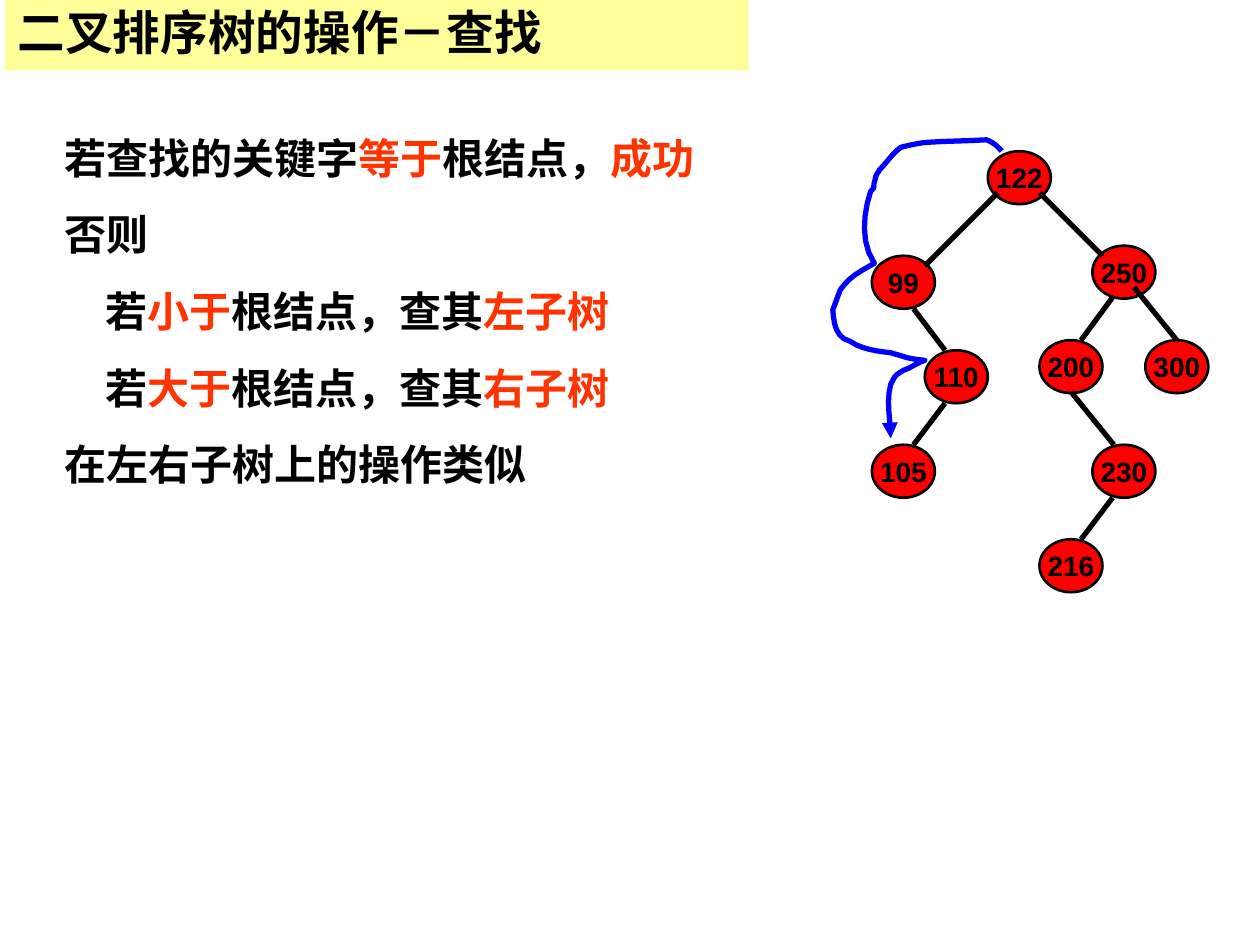
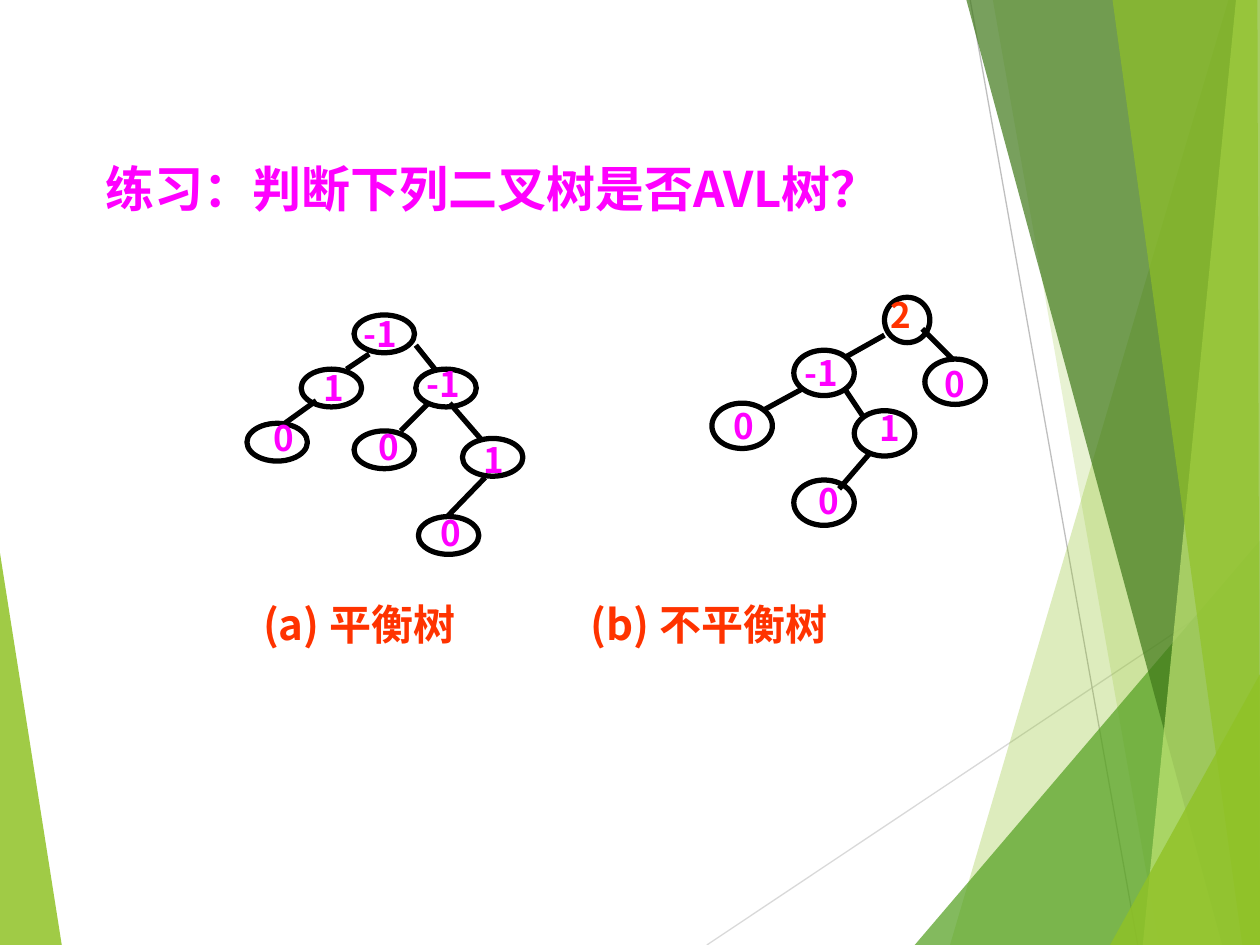
"""Build two slides on searching a binary search tree and recognising AVL trees."""
from lxml import etree
from pptx import Presentation
from pptx.dml.color import RGBColor
from pptx.enum import shapes, text
from pptx.oxml import ns
from pptx.util import Inches, Pt

BLACK = RGBColor(0x00, 0x00, 0x00)
RED = RGBColor(0xFF, 0x00, 0x00)
ORANGE = RGBColor(0xFF, 0x33, 0x00)
MAGENTA = RGBColor(0xFF, 0x00, 0xFF)
BLUE = RGBColor(0x00, 0x00, 0xFF)
YELLOW = RGBColor(0xFF, 0xFF, 0x99)
LIME = RGBColor(0x90, 0xC2, 0x26)
GREEN = RGBColor(0x54, 0xA0, 0x21)
DARK_GREEN = RGBColor(0x3F, 0x78, 0x19)
PALE_GREEN = RGBColor(0xC0, 0xE4, 0x74)
GRAY = RGBColor(0xBF, 0xBF, 0xBF)
LIGHT_GRAY = RGBColor(0xD9, 0xD9, 0xD9)
CJK_FONT = "Noto Sans CJK SC"
LATIN_FONT = "Arial"

SEARCH_RULES = [
    (0.5, [("若查找的关键字", BLACK), ("等于", ORANGE), ("根结点，", BLACK), ("成功", ORANGE)]),
    (0.5, [("否则", BLACK)]),
    (0.83, [("若", BLACK), ("小于", ORANGE), ("根结点，查其", BLACK), ("左子树", ORANGE)]),
    (0.83, [("若", BLACK), ("大于", ORANGE), ("根结点，查其", BLACK), ("右子树", ORANGE)]),
    (0.5, [("在左右子树上的操作类似", BLACK)]),
]
SEARCH_NODES = [
    ("122", 7.84, 1.2), ("250", 8.67, 1.95), ("300", 9.09, 2.7), ("110", 7.34, 2.78),
    ("200", 8.25, 2.7), ("99", 6.92, 2.03), ("105", 6.92, 3.53), ("230", 8.67, 3.53),
    ("216", 8.25, 4.28),
]
SEARCH_EDGES = [
    (7.92, 1.53, 7.34, 2.11), (8.25, 1.53, 8.75, 2.03), (9, 2.28, 9.34, 2.7),
    (8.83, 2.36, 8.58, 2.7), (7.25, 2.45, 7.5, 2.78), (7.5, 3.2, 7.25, 3.53),
    (8.5, 3.11, 8.84, 3.53), (8.83, 3.95, 8.58, 4.28),
]
SEARCH_START = (7.95, 1.2)
SEARCH_CURVES = [
    ((7.92, 1.16), (7.88, 1.13), (7.83, 1.11)), ((7.67, 1.12), (7.52, 1.12), (7.37, 1.13)),
    ((7.3, 1.13), (7.15, 1.17), (7.15, 1.17)), ((7.08, 1.22), (7.04, 1.29), (6.98, 1.35)),
    ((6.97, 1.37), (6.95, 1.39), (6.95, 1.41)), ((6.91, 1.54), (6.97, 1.45), (6.91, 1.52)),
    ((6.85, 1.7), (6.83, 1.93), (6.94, 2.09)), ((6.82, 2.16), (6.75, 2.19), (6.67, 2.3)),
    ((6.65, 2.35), (6.63, 2.41), (6.61, 2.46)), ((6.62, 2.57), (6.63, 2.68), (6.75, 2.71)),
    ((6.83, 2.77), (6.97, 2.79), (7.07, 2.8)), ((7.1, 2.81), (7.14, 2.82), (7.17, 2.83)),
    ((7.22, 2.85), (7.34, 2.86), (7.34, 2.86)), ((7.28, 2.88), (7.23, 2.92), (7.17, 2.94)),
    ((7.09, 2.99), (7.11, 2.98), (7.07, 3.05)), ((7.03, 3.19), (7.07, 3.33), (7.07, 3.48)),
]

LEFT_BAND = ([(0, 4.39), (0.49, 7.5), (0, 7.5)], LIME, 85)
BACKDROP_LINES = [(5.61, 7.5, 10, 4.57, LIGHT_GRAY), (7.7, 0, 9.03, 7.5, GRAY)]
RIGHT_BANDS = [
    ([(9.75, 0), (7.54, 7.5), (10, 7.5), (10, 0)], LIME, 30),
    ([(7.88, 0), (9.2, 7.5), (10, 7.5), (10, 0)], LIME, 20),
    ([(7.26, 7.5), (10, 4.29), (10, 7.5)], GREEN, 72),
    ([(7.67, 0), (9.7, 7.5), (10, 7.5), (10, 0)], DARK_GREEN, 70),
    ([(9.81, 0), (9.07, 7.5), (10, 7.5), (10, 0)], PALE_GREEN, 70),
    ([(8.83, 0), (9.86, 7.5), (10, 7.5), (9.98, 0)], LIME, 65),
    ([(8.81, 7.5), (10, 5.35), (10, 7.5)], LIME, 80),
]

BALANCED_NODES = [
    (2.81, 2.5), (3.67, 3.48), (3.32, 4.1), (2.39, 2.93), (3.3, 2.93), (2.81, 3.42), (1.96, 3.36),
]
UNBALANCED_NODES = [(5.65, 3.2), (6.3, 2.78), (6.78, 3.26), (6.3, 3.81), (7.34, 2.85)]
AVL_EDGES = [
    (2.93, 2.81, 2.75, 2.93), (3.57, 3.2, 3.83, 3.5), (2.51, 3.18, 2.26, 3.36),
    (3.3, 2.74, 3.46, 2.94), (3.85, 3.79, 3.55, 4.1), (3.4, 3.2, 3.18, 3.42),
    (7.02, 2.66, 6.7, 2.84), (6.38, 3.08, 6.05, 3.26), (6.7, 3.08, 6.86, 3.32),
    (7.32, 2.61, 7.57, 2.86), (6.91, 3.59, 6.66, 3.88),
]
BALANCE_FACTORS = [
    ("0", 3.4, 4.01), ("0", 2.91, 3.33), ("0", 2.07, 3.26), ("1", 3.74, 3.43),
    ("1", 2.47, 2.86), ("-1", 3.29, 2.83), ("-1", 2.79, 2.43), ("0", 7.4, 2.83),
    ("0", 5.72, 3.16), ("0", 6.4, 3.76), ("1", 6.88, 3.18), ("-1", 6.29, 2.74),
]


def add_element(parent, tag, **attributes):
    return etree.SubElement(parent, ns.qn(tag), attributes)


def format_paragraph(paragraph, size, color, name=CJK_FONT):
    font = paragraph.font
    font.size = Pt(size)
    font.bold = True
    font.color.rgb = color
    font.name = name
    add_element(font._rPr, "a:ea", typeface=name)


def place(shape, left, top, width, height):
    shape.left, shape.top = Inches(left), Inches(top)
    shape.width, shape.height = Inches(width), Inches(height)


def set_title(slide, title, box, size, color):
    shape = slide.shapes.title
    place(shape, *box)
    frame = shape.text_frame
    frame.text = title
    frame.auto_size = text.MSO_AUTO_SIZE.NONE
    paragraph = frame.paragraphs[0]
    paragraph.alignment = text.PP_ALIGN.LEFT
    format_paragraph(paragraph, size, color)
    return shape


def fill_rules(body, rules):
    place(body, -0.09, 1, 6.04, 2.94)
    frame = body.text_frame
    frame.auto_size = text.MSO_AUTO_SIZE.NONE
    for index, (indent, runs) in enumerate(rules):
        paragraph = frame.add_paragraph() if index else frame.paragraphs[0]
        paragraph.space_before = Pt(15 if index else 0)
        properties = paragraph._p.get_or_add_pPr()
        properties.set("marL", str(Inches(indent)))
        properties.set("indent", "0")
        add_element(properties, "a:buNone")
        format_paragraph(paragraph, 24, BLACK)
        for words, color in runs:
            run = paragraph.add_run()
            run.text = words
            run.font.color.rgb = color


def add_text(slide, words, box, size, color, tab=None):
    frame = slide.shapes.add_textbox(*map(Inches, box)).text_frame
    frame.word_wrap = True
    paragraph = frame.paragraphs[0]
    paragraph.text = words
    if tab:
        tabs = add_element(paragraph._p.get_or_add_pPr(), "a:tabLst")
        add_element(tabs, "a:tab", pos=str(Inches(tab)), algn="l")
    format_paragraph(paragraph, size, color)


def add_node(slide, box, line_width, fill=None, label=None):
    node = slide.shapes.add_shape(shapes.MSO_SHAPE.OVAL, *map(Inches, box))
    node.shadow.inherit = False
    node.line.color.rgb = BLACK
    node.line.width = Pt(line_width)
    if fill is None:
        node.fill.background()
    else:
        node.fill.solid()
        node.fill.fore_color.rgb = fill
    if label:
        frame = node.text_frame
        frame.word_wrap = False
        frame.text = label
        frame.paragraphs[0].alignment = text.PP_ALIGN.CENTER
        format_paragraph(frame.paragraphs[0], 16, BLACK, LATIN_FONT)


def add_line(slide, ends, color=BLACK, width=3):
    line = slide.shapes.add_connector(shapes.MSO_CONNECTOR.STRAIGHT, *map(Inches, ends))
    line.line.color.rgb = color
    line.line.width = Pt(width)
    add_element(line._element.spPr, "a:effectLst")


def add_outline(slide, points, close):
    start, *rest = [(Inches(x), Inches(y)) for x, y in points]
    builder = slide.shapes.build_freeform(*start)
    builder.add_line_segments(rest, close=close)
    outline = builder.convert_to_shape()
    outline.shadow.inherit = False
    return outline


def add_band(slide, points, color, opacity):
    band = add_outline(slide, points, True)
    band.line.fill.background()
    band.fill.solid()
    band.fill.fore_color.rgb = color
    solid = band._element.spPr.find(ns.qn("a:solidFill"))
    add_element(solid[0], "a:alpha", val=str(opacity * 1000))


def curve_points(start, curves, steps=6):
    points = [start]
    for first, second, end in curves:
        origin = points[-1]
        for step in range(1, steps + 1):
            t = step / steps
            weights = ((1 - t) ** 3, 3 * t * (1 - t) ** 2, 3 * t ** 2 * (1 - t), t ** 3)
            controls = (origin, first, second, end)
            points.append(tuple(sum(w * p[axis] for w, p in zip(weights, controls))
                                for axis in (0, 1)))
    return points


def add_search_arrow(slide):
    arrow = add_outline(slide, curve_points(SEARCH_START, SEARCH_CURVES), False)
    arrow.fill.background()
    arrow.line.color.rgb = BLUE
    arrow.line.width = Pt(3)
    add_element(arrow.line._get_or_add_ln(), "a:tailEnd", type="triangle")


def add_backdrop(slide):
    add_band(slide, *LEFT_BAND)
    for *ends, color in BACKDROP_LINES:
        add_line(slide, ends, color, 0.75)
    for band in RIGHT_BANDS:
        add_band(slide, *band)


def build_search_slide(presentation):
    slide = presentation.slides.add_slide(presentation.slide_layouts[1])
    title = set_title(slide, "二叉排序树的操作－查找", (0.04, 0, 5.9, 0.56), 27.2, BLACK)
    title.fill.solid()
    title.fill.fore_color.rgb = YELLOW
    title.text_frame.paragraphs[0].line_spacing = 0.9
    fill_rules(slide.placeholders[1], SEARCH_RULES)
    for label, left, top in SEARCH_NODES:
        add_node(slide, (left, top, 0.5, 0.42), 1.5, RED, label)
    for ends in SEARCH_EDGES:
        add_line(slide, ends)
    add_search_arrow(slide)


def build_avl_slide(presentation):
    slide = presentation.slides.add_slide(presentation.slide_layouts[5])
    add_backdrop(slide)
    title = set_title(slide, "练习：判断下列二叉树是否AVL树？", (0.74, 1.21, 7.33, 0.57), 28, MAGENTA)
    title.text_frame.vertical_anchor = text.MSO_ANCHOR.TOP
    for left, top in BALANCED_NODES:
        add_node(slide, (left, top, 0.48, 0.3), 3)
    add_node(slide, (7.02, 2.36, 0.36, 0.36), 3)
    for left, top in UNBALANCED_NODES:
        add_node(slide, (left, top, 0.48, 0.36), 3)
    for ends in AVL_EDGES:
        add_line(slide, ends)
    add_text(slide, "(a) 平衡树\t(b) 不平衡树", (1.99, 4.7, 6, 0.9), 24, ORANGE, tab=2.6)
    for factor, left, top in BALANCE_FACTORS:
        add_text(slide, factor, (left, top, 0.53, 0.44), 20, MAGENTA)
    add_text(slide, "2", (6.97, 2.28, 0.53, 0.44), 20, ORANGE)


def main():
    presentation = Presentation()
    presentation.slide_width, presentation.slide_height = Inches(10), Inches(7.5)
    build_search_slide(presentation)
    build_avl_slide(presentation)
    presentation.save("out.pptx")


if __name__ == "__main__":
    main()
